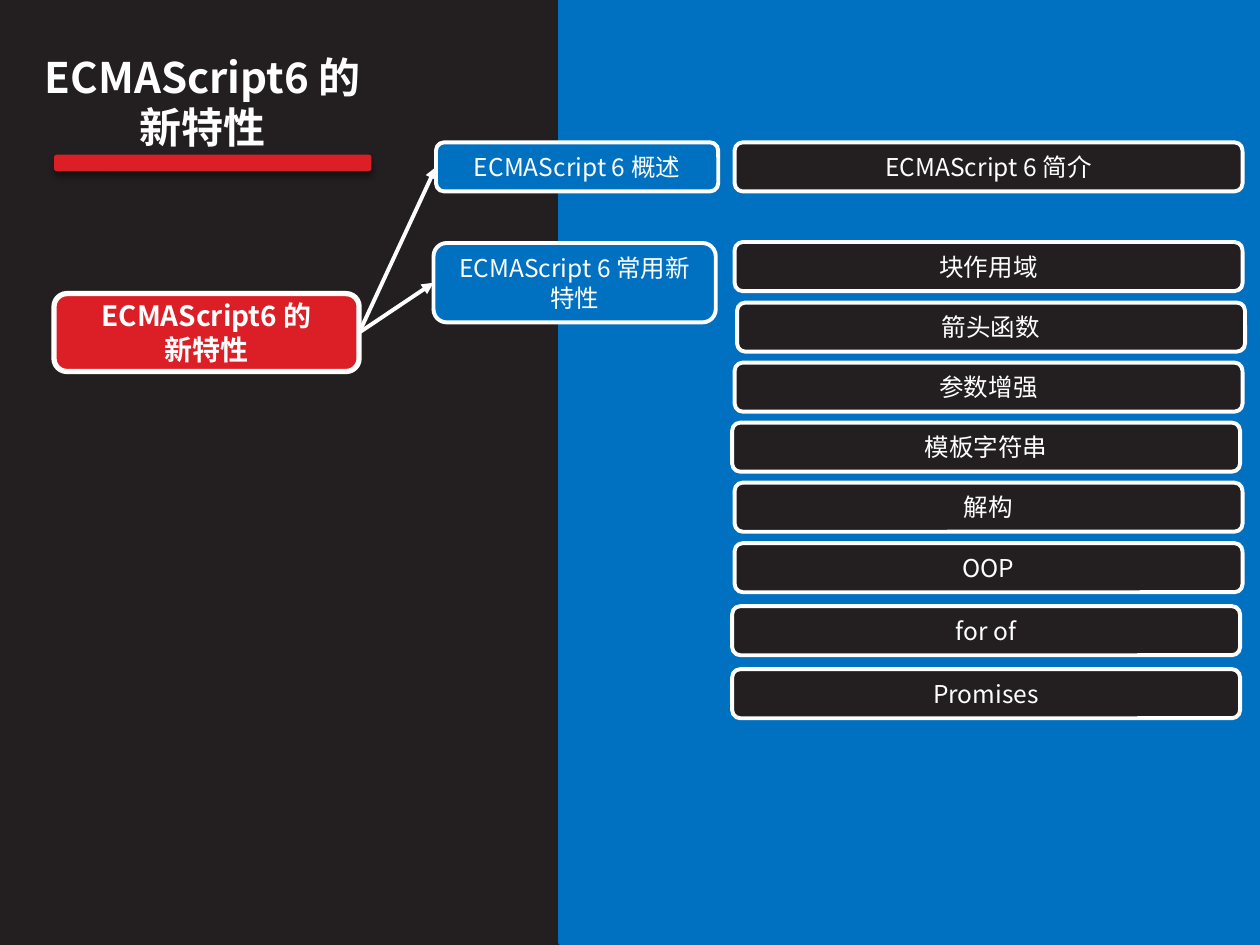
"""Build the agenda slide on the new features of ECMAScript6."""
from lxml.etree import SubElement
from pptx import Presentation
from pptx.dml.color import RGBColor
from pptx.enum.shapes import MSO_CONNECTOR, MSO_SHAPE
from pptx.enum.text import MSO_ANCHOR, MSO_AUTO_SIZE, PP_ALIGN
from pptx.oxml import parse_xml
from pptx.oxml.ns import nsdecls, qn
from pptx.util import Cm, Pt

COLORS = {"dark": "231F20", "blue": "0070C0", "red": "DC1F26", "white": "FFFFFF"}
FONT = "Noto Sans CJK SC"
RIGHT_SITE, LEFT_SITE = 3, 1


def write(frame, text, size=14, bold=False, anchor=MSO_ANCHOR.MIDDLE):
    frame.text = text
    frame.word_wrap = True
    frame.auto_size = MSO_AUTO_SIZE.NONE
    frame.vertical_anchor = anchor
    for paragraph in frame.paragraphs:
        paragraph.alignment = PP_ALIGN.CENTER
        for run in paragraph.runs:
            run.font.size = Pt(size)
            run.font.bold = bold
            run.font.color.rgb = RGBColor.from_string(COLORS["white"])
            run.font.name = FONT
            SubElement(run._r.get_or_add_rPr(), qn("a:ea"), typeface=FONT)


def add_box(left, top, width, height, fill, line=None, weight=2.25,
            outline=MSO_SHAPE.ROUNDED_RECTANGLE):
    box = slide.shapes.add_shape(outline, Cm(left), Cm(top), Cm(width), Cm(height))
    box.shadow.inherit = False
    box.fill.solid()
    box.fill.fore_color.rgb = RGBColor.from_string(COLORS[fill])
    if line:
        box.line.color.rgb = RGBColor.from_string(COLORS[line])
        box.line.width = Pt(weight)
    else:
        box.line.fill.background()
    return box


presentation = Presentation()
presentation.slide_width, presentation.slide_height = Cm(25.4), Cm(19.05)
slide = presentation.slides.add_slide(presentation.slide_layouts[5])
slide.background.fill.solid()
slide.background.fill.fore_color.rgb = RGBColor.from_string(COLORS["dark"])

add_box(11.3, 0, 14.1, 19, "blue", "blue", 3, MSO_SHAPE.RECTANGLE)

subject = "ECMAScript6 的\n新特性"
heading = slide.shapes.title
heading.left, heading.top, heading.width, heading.height = Cm(-0.51), Cm(0.91), Cm(9.19), Cm(1.8)
write(heading.text_frame, subject, size=24, bold=True, anchor=MSO_ANCHOR.TOP)

underline = add_box(1.09, 3.12, 6.4, 0.33, "red")
underline._element.spPr.find(qn("a:effectLst")).append(parse_xml(
    f'<a:outerShdw {nsdecls("a")} blurRad="{Pt(4)}" dist="{Pt(3)}" dir="5400000" '
    'rotWithShape="0"><a:srgbClr val="000000"><a:alpha val="43000"/></a:srgbClr>'
    '</a:outerShdw>'))

root = add_box(1.09, 5.92, 6.15, 1.57, "red", "white", 3)
write(root.text_frame, subject, size=16, bold=True)

chapters = [("ECMAScript 6 概述", 8.79, 2.87, 0.99),
            ("ECMAScript 6 常用新特性", 8.74, 4.9, 1.6)]
for name, left, top, height in chapters:
    chapter = add_box(left, top, 5.69, height, "blue", "white")
    write(chapter.text_frame, name)
    arrow = slide.shapes.add_connector(MSO_CONNECTOR.STRAIGHT, 0, 0, 0, 0)
    arrow.begin_connect(root, RIGHT_SITE)
    arrow.end_connect(chapter, LEFT_SITE)
    arrow.line.color.rgb = RGBColor.from_string(COLORS["white"])
    arrow.line.width = Pt(2.25)
    SubElement(arrow.line._get_or_add_ln(), qn("a:tailEnd"), type="triangle")
    SubElement(arrow._element.spPr, qn("a:effectLst"))

sections = [("ECMAScript 6 简介", 14.81, 2.87),
            ("块作用域", 14.81, 4.88),
            ("箭头函数", 14.86, 6.1),
            ("参数增强", 14.81, 7.31),
            ("模板字符串", 14.76, 8.52),
            ("解构", 14.81, 9.73),
            ("OOP", 14.81, 10.95),
            ("for of", 14.76, 12.22),
            ("Promises", 14.76, 13.49)]
for name, left, top in sections:
    section = add_box(left, top, 10.24, 0.99, "dark", "white")
    write(section.text_frame, name)

presentation.save("out.pptx")
